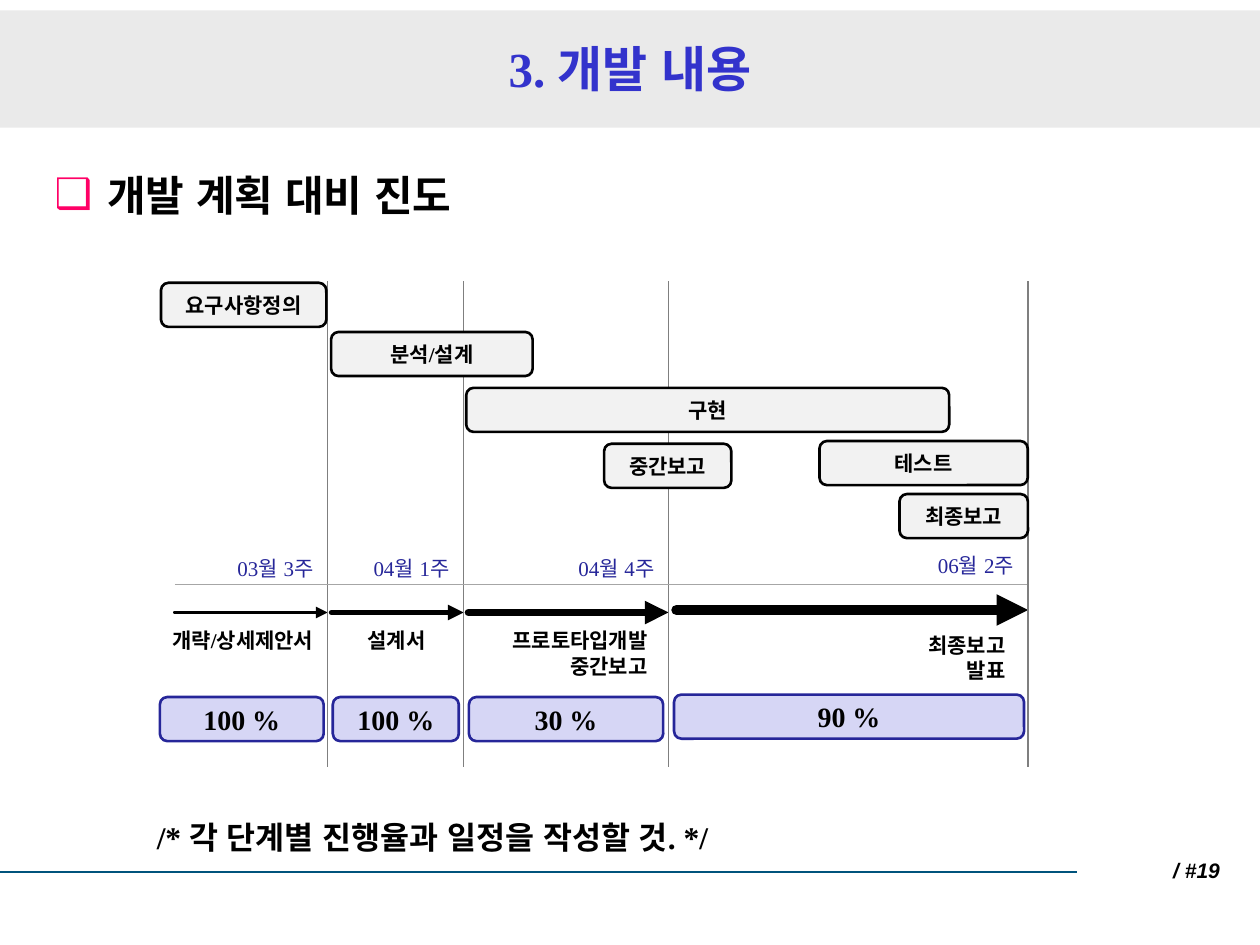
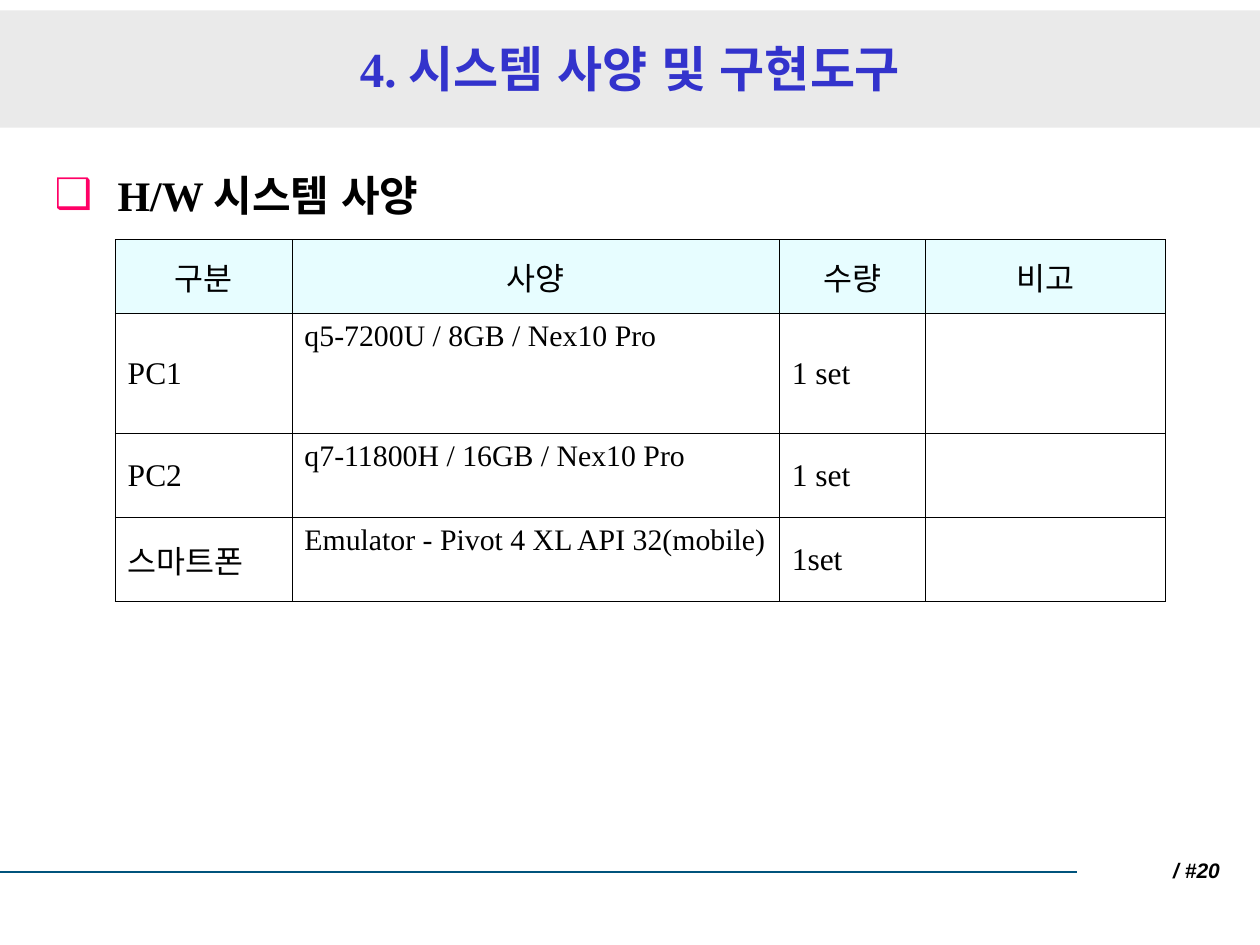
from dataclasses import dataclass

from lxml import etree
from pptx import Presentation
from pptx.dml.color import RGBColor
from pptx.enum.lang import MSO_LANGUAGE_ID
from pptx.enum.shapes import MSO_CONNECTOR, MSO_SHAPE
from pptx.enum.text import MSO_ANCHOR, MSO_AUTO_SIZE, PP_ALIGN
from pptx.oxml.ns import qn
from pptx.util import Pt

LEFT, CENTER, RIGHT = PP_ALIGN.LEFT, PP_ALIGN.CENTER, PP_ALIGN.RIGHT
TOP, MIDDLE = MSO_ANCHOR.TOP, MSO_ANCHOR.MIDDLE
RECTANGLE, ROUNDED = MSO_SHAPE.RECTANGLE, MSO_SHAPE.ROUNDED_RECTANGLE
STRAIGHT = MSO_CONNECTOR.STRAIGHT
NO_FIT = MSO_AUTO_SIZE.NONE
KOREAN = MSO_LANGUAGE_ID.KOREAN
TITLE_AND_CONTENT = 1


@dataclass(frozen=True)
class Theme:
    # Fonts
    font: str = "Times New Roman"
    footer_font: str = "Arial"
    # Colours
    text: str = "000000"
    title: str = "3333CC"
    band: str = "EAEAEA"
    footer_rule: str = "00537C"
    bullet: str = "FF0066"
    task: str = "F2F2F2"
    milestone: str = "7F7F7F"
    axis: str = "A6A6A6"
    accent: str = "262699"
    progress: str = "D6D6F5"
    table_header: str = "E7FDFF"
    # Type sizes
    title_size: int = 28
    heading_size: int = 24
    note_size: int = 18
    progress_size: int = 16
    label_size: int = 12
    cell_size: int = 18
    detail_size: int = 17


# Phases: arrow start, milestone x, arrow weight, rise, date,
# label, label box (left, top, width), label alignment, progress, progress box (left, width)
PHASES = [
    (100, 187.2, 2.25, 0, "03월 3주", "개략/상세제안서", (91.4, 355.3, 115), LEFT,
     "100 %", (91.4, 93.6)),
    (189.4, 265, 3, 0, "04월 1주", "설계서", (203, 355.3, 60), LEFT,
     "100 %", (190.2, 72)),
    (267.8, 382, 4.5, 0, "04월 4주", "프로토타입개발\n중간보고", (267.2, 355.3, 110), RIGHT,
     "30 %", (268, 111)),
    (386.6, 587.5, 6, 1.4, "06월 2주", "최종보고\n발표", (501.7, 357.8, 80), RIGHT,
     "90 %", (385.2, 200)),
]

# Tasks: name, left, top, width
TASKS = [
    ("요구사항정의", 92, 161.6, 94.5),
    ("분석/설계", 189.2, 189.7, 115.2),
    ("구현", 266.4, 221.6, 276),
    ("테스트", 468.3, 252, 119),
    ("중간보고", 345.2, 253.6, 72.7),
    ("최종보고", 514, 282.3, 73.4),
]

HARDWARE = [
    ("구분", "사양", "수량", "비고"),
    ("PC1", "q5-7200U / 8GB / Nex10 Pro", "1 set", ""),
    ("PC2", "q7-11800H / 16GB / Nex10 Pro", "1 set", ""),
    ("스마트폰", "Emulator - Pivot 4 XL API 32(mobile)", "1set", ""),
]
COLUMN_WIDTHS = (101, 278.5, 83.5, 137)
ROW_HEIGHTS = (42.5, 68.5, 48, 48)
DETAIL_COLUMN = 1


def colour(code):
    return RGBColor.from_string(code)


def place(shape, left, top, width, height):
    shape.left, shape.top = Pt(left), Pt(top)
    shape.width, shape.height = Pt(width), Pt(height)


class SlideBuilder:
    """Holds the theme and the slide being filled."""

    def __init__(self, presentation, theme):
        self.presentation = presentation
        self.theme = theme
        self.slide = None

    def style(self, paragraph, size, align=LEFT, color=None, bold=True, italic=False, font=None):
        paragraph.alignment = align
        paragraph.font.name = font or self.theme.font
        paragraph.font.size = Pt(size)
        paragraph.font.bold = bold
        paragraph.font.italic = italic
        paragraph.font.language_id = KOREAN
        paragraph.font.color.rgb = colour(color or self.theme.text)

    def start(self, title, heading, number):
        """Add a slide with its band, footer, title and heading."""
        theme = self.theme
        layout = self.presentation.slide_layouts[TITLE_AND_CONTENT]
        self.slide = self.presentation.slides.add_slide(layout)
        title_shape, body = self.slide.placeholders
        self.title(title_shape, title)
        self.heading(body, heading)
        band = self.box(RECTANGLE, 0, 6, 720, 67, theme.band)
        # The band lies behind the placeholders
        title_shape.element.addprevious(band.element)
        self.line((0, 498.2), (615.6, 498.2), theme.footer_rule, 1.5)
        self.text(f"/ #{number}", 614.2, 482, 90, 30.2, theme.label_size, anchor=MIDDLE,
                  align=RIGHT, italic=True, font=theme.footer_font)

    def title(self, shape, text):
        place(shape, 24, 12, 672, 54)
        frame = shape.text_frame
        frame.text = text
        frame.vertical_anchor = MIDDLE
        frame.auto_size = NO_FIT
        self.style(frame.paragraphs[0], self.theme.title_size, CENTER, self.theme.title)

    def heading(self, shape, text):
        place(shape, 24, 93, 672, 396)
        frame = shape.text_frame
        frame.text = text
        frame.auto_size = NO_FIT
        paragraph = frame.paragraphs[0]
        paragraph.space_before = Pt(6)
        properties = paragraph._p.get_or_add_pPr()
        properties.set("marL", str(Pt(30)))
        properties.set("indent", str(-Pt(30)))
        bullet_colour = etree.SubElement(properties, qn("a:buClr"))
        etree.SubElement(bullet_colour, qn("a:srgbClr"), val=self.theme.bullet)
        etree.SubElement(properties, qn("a:buChar"), char="❑")
        self.style(paragraph, self.theme.heading_size)

    def text(self, text, left, top, width, height, size, anchor=TOP, **style):
        shape = self.slide.shapes.add_textbox(Pt(left), Pt(top), Pt(width), Pt(height))
        frame = shape.text_frame
        frame.text = text
        frame.word_wrap = True
        frame.auto_size = NO_FIT
        frame.vertical_anchor = anchor
        for paragraph in frame.paragraphs:
            self.style(paragraph, size, **style)

    def box(self, kind, left, top, width, height, fill, outline=None, text="", size=None):
        shape = self.slide.shapes.add_shape(kind, Pt(left), Pt(top), Pt(width), Pt(height))
        shape.shadow.inherit = False
        shape.fill.solid()
        shape.fill.fore_color.rgb = colour(fill)
        if outline:
            shape.line.color.rgb = colour(outline)
            shape.line.width = Pt(1.5)
        else:
            shape.line.fill.background()
        if text:
            shape.text_frame.text = text
            shape.text_frame.vertical_anchor = MIDDLE
            self.style(shape.text_frame.paragraphs[0], size, CENTER)
        return shape

    def line(self, start, end, color, weight, arrow=False):
        connector = self.slide.shapes.add_connector(STRAIGHT, *map(Pt, start + end))
        connector.line.color.rgb = colour(color)
        connector.line.width = Pt(weight)
        properties = connector.element.spPr
        if arrow:
            outline = properties.find(qn("a:ln"))
            outline.set("cap", "rnd")
            etree.SubElement(outline, qn("a:tailEnd"), type="triangle")
        etree.SubElement(properties, qn("a:effectLst"))

    def table(self, rows, left, top, widths, heights):
        frame = self.slide.shapes.add_table(len(rows), len(widths), Pt(left), Pt(top),
                                            Pt(sum(widths)), Pt(sum(heights)))
        table = frame.table
        table.first_row = table.horz_banding = False
        for column, width in zip(table.columns, widths):
            column.width = Pt(width)
        for row, height in zip(table.rows, heights):
            row.height = Pt(height)
        for row_index, values in enumerate(rows):
            for column_index, value in enumerate(values):
                self.cell(table.cell(row_index, column_index), value, row_index == 0,
                          column_index == DETAIL_COLUMN)

    def cell(self, cell, value, is_header, is_detail_column):
        theme = self.theme
        is_detail = is_detail_column and not is_header
        cell.text = value
        cell.margin_left = cell.margin_right = Pt(7.2)
        cell.margin_top = cell.margin_bottom = Pt(3.6)
        cell.vertical_anchor = TOP if is_detail else MIDDLE
        self.style(cell.text_frame.paragraphs[0],
                   theme.detail_size if is_detail else theme.cell_size,
                   CENTER if is_header else LEFT, bold=False)
        # Borders come before the fill in the cell properties
        properties = cell._tc.get_or_add_tcPr()
        for side in ("lnL", "lnR", "lnT", "lnB"):
            border = etree.SubElement(properties, qn(f"a:{side}"), w=str(Pt(0.45)))
            fill = etree.SubElement(border, qn("a:solidFill"))
            etree.SubElement(fill, qn("a:srgbClr"), val=theme.text)
        if is_header:
            cell.fill.solid()
            cell.fill.fore_color.rgb = colour(theme.table_header)
        else:
            cell.fill.background()


def build_schedule(builder):
    theme = builder.theme
    builder.start("3. 개발 내용", "개발 계획 대비 진도", 19)

    # Phases: arrow, deliverable, milestone, date and progress
    for (start, milestone, weight, rise, date, label, label_box, align,
         progress, (progress_left, progress_width)) in PHASES:
        arrow_y = 350 - rise
        builder.line((start, arrow_y), (milestone, arrow_y), theme.text, weight, arrow=True)
        label_height = 36 if "\n" in label else 21.6
        builder.text(label, *label_box, label_height, theme.label_size, align=align)
        builder.line((milestone, 160.6), (milestone, 438.5), theme.milestone, 0.75)
        builder.text(date, milestone - 58.6, 313.9 - rise, 80, 21.6, theme.label_size,
                     color=theme.accent, bold=False)
        builder.box(ROUNDED, progress_left, 398.3 - rise, progress_width, 25.2,
                    theme.progress, theme.accent, progress, theme.progress_size)

    # Time axis and tasks
    builder.line((100, 334), (587, 334), theme.axis, 0.75)
    for name, left, top, width in TASKS:
        builder.box(ROUNDED, left, top, width, 25.2, theme.task, theme.text,
                    name, theme.label_size)

    builder.text("/* 각 단계별 진행율과 일정을 작성할 것. */", 82.5, 463.7, 400, 28.8,
                 theme.note_size)


def build_hardware(builder):
    builder.start("4. 시스템 사양 및 구현도구", " H/W 시스템 사양", 20)
    builder.table(HARDWARE, 65.8, 136.8, COLUMN_WIDTHS, ROW_HEIGHTS)


def main():
    presentation = Presentation()
    presentation.slide_width, presentation.slide_height = Pt(720), Pt(540)
    builder = SlideBuilder(presentation, Theme())
    build_schedule(builder)
    build_hardware(builder)
    presentation.save("out.pptx")


if __name__ == "__main__":
    main()
